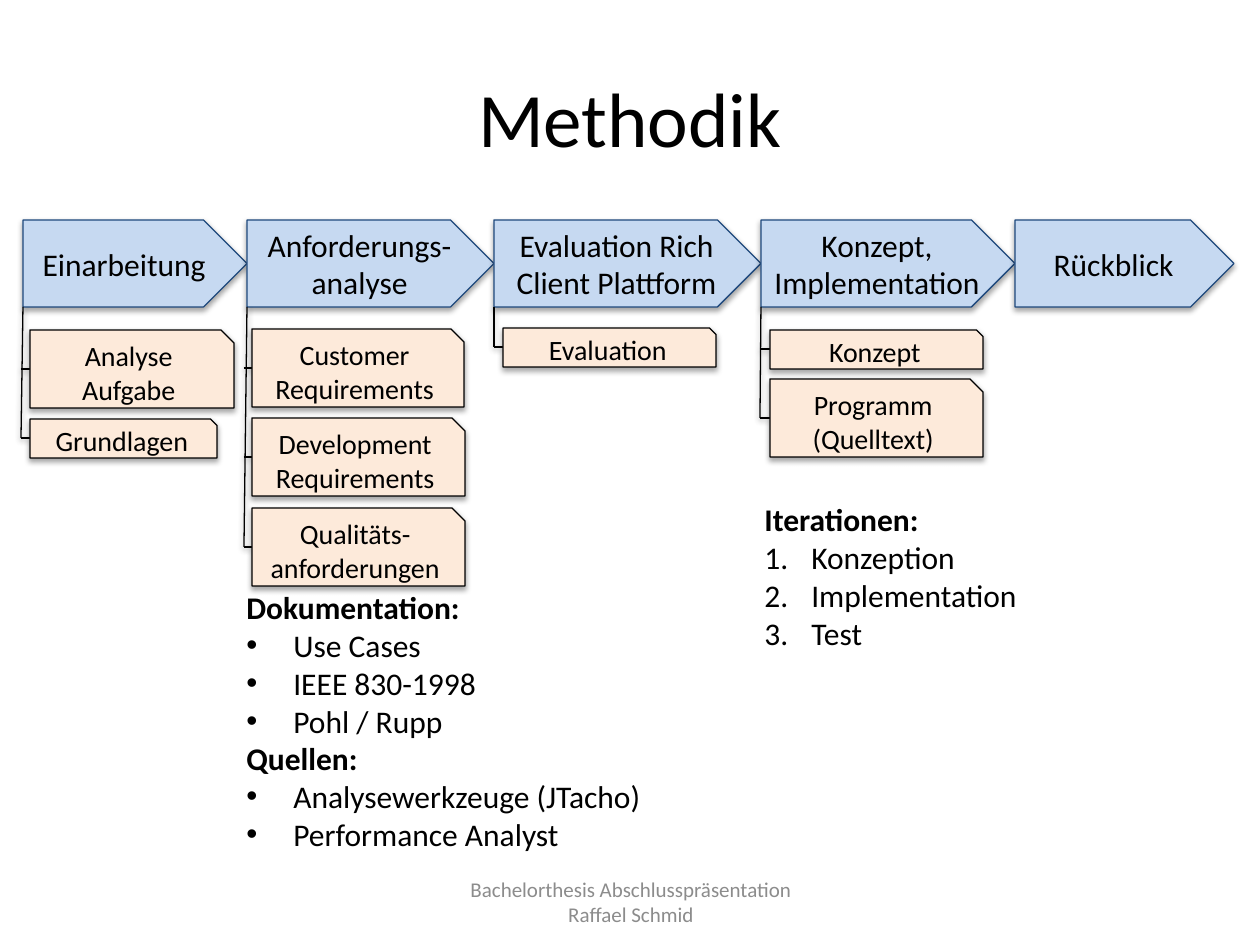
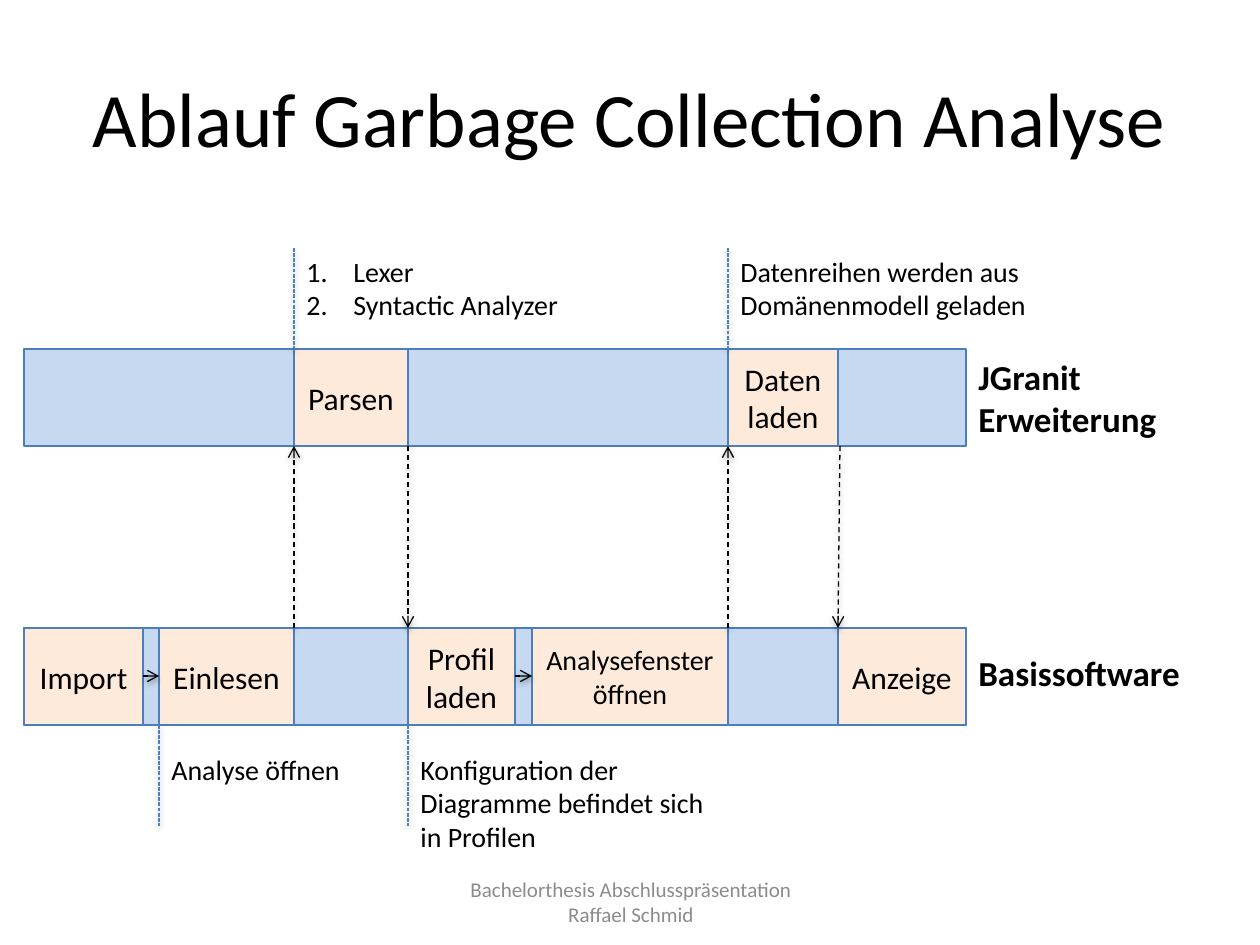
from lxml import etree
from pptx import Presentation
from pptx.dml.color import RGBColor
from pptx.enum.dml import MSO_LINE as Dash
from pptx.enum.shapes import MSO_CONNECTOR, MSO_SHAPE as Preset
from pptx.enum.text import MSO_ANCHOR as Anchor, MSO_AUTO_SIZE as AutoSize, PP_ALIGN as Align
from pptx.oxml.ns import qn
from pptx.util import Pt

SCALE = 914400 / 126
BLACK, GREY = "000000", "8C8C8C"
BLUE, PEACH = "C6D9F1", "FDEADA"
NAVY, STEEL, ACCENT = "1F497D", "4B7EBC", "4F81BD"
MARKERS = {
    "bullet": ("a:buChar", {"char": "•"}),
    "number": ("a:buAutoNum", {"type": "arabicPeriod"}),
}


def emu(*pixels):
    return [round(pixel * SCALE) for pixel in pixels]


def rgb(value):
    return RGBColor.from_string(value)


def add_child(parent, tag, **attributes):
    return etree.SubElement(parent, qn(tag), attributes)


class Deck:
    font = "Calibri"
    line_width = 0.75
    indent = 47

    def __init__(self, width, height):
        self.presentation = Presentation()
        self.presentation.slide_width, self.presentation.slide_height = emu(width, height)
        self.slide = None

    def new_slide(self, title):
        self.slide = self.presentation.slides.add_slide(self.presentation.slide_layouts[5])
        shape = self.slide.shapes.title
        shape.left, shape.top, shape.width, shape.height = emu(63, 38, 1134, 158)
        self.set_text(shape, [title], 44, align=Align.CENTER, anchor=Anchor.MIDDLE)
        self.text_box((431, 877, 400, 50), ["Bachelorthesis Abschlusspräsentation\vRaffael Schmid"],
                      12, color=GREY, align=Align.CENTER, anchor=Anchor.MIDDLE, grow=False)

    def set_text(self, shape, items, size, bold=False, color=BLACK, align=Align.LEFT,
                 anchor=Anchor.TOP):
        frame = shape.text_frame
        frame.word_wrap = True
        frame.vertical_anchor = anchor
        for index, item in enumerate(items):
            text, kind = item if isinstance(item, tuple) else (item, "plain")
            paragraph = frame.add_paragraph() if index else frame.paragraphs[0]
            paragraph.text = text
            paragraph.alignment = align
            formats = {"name": self.font, "size": Pt(size), "bold": bold or kind == "heading"}
            for run in paragraph.runs:
                for name, value in formats.items():
                    setattr(run.font, name, value)
                run.font.color.rgb = rgb(color)
            if kind in MARKERS:
                self.mark(paragraph, *MARKERS[kind])

    def mark(self, paragraph, tag, attributes):
        properties = paragraph._p.get_or_add_pPr()
        indent = emu(self.indent)[0]
        properties.set("marL", str(indent))
        properties.set("indent", str(-indent))
        if tag == "a:buChar":
            add_child(properties, "a:buFont", typeface="Arial")
        add_child(properties, tag, **attributes)

    def text_box(self, box, items, size, grow=True, **style):
        shape = self.slide.shapes.add_textbox(*emu(*box))
        self.set_text(shape, items, size, **style)
        if grow:
            shape.text_frame.auto_size = AutoSize.SHAPE_TO_FIT_TEXT

    def box(self, preset, box, fill, line, text="", size=18, shadow=False):
        shape = self.slide.shapes.add_shape(preset, *emu(*box))
        shape.shadow.inherit = False
        shape.fill.solid()
        shape.fill.fore_color.rgb = rgb(fill)
        shape.line.color.rgb = rgb(line)
        shape.line.width = Pt(self.line_width)
        if text:
            self.set_text(shape, [text], size, align=Align.CENTER, anchor=Anchor.MIDDLE)
        if shadow:
            self.cast_shadow(shape._element.spPr.find(qn("a:effectLst")), 23000, 35000)

    def line(self, start, end, color=BLACK, dash=None, arrow=False):
        connector = self.slide.shapes.add_connector(MSO_CONNECTOR.STRAIGHT, *emu(*start, *end))
        connector.line.color.rgb = rgb(color)
        connector.line.width = Pt(self.line_width)
        if dash:
            connector.line.dash_style = dash
        properties = connector._element.spPr
        if arrow:
            add_child(properties.find(qn("a:ln")), "a:tailEnd", type="arrow")
        self.cast_shadow(add_child(properties, "a:effectLst"), 20000, 38000)

    def cast_shadow(self, effects, distance, opacity):
        shadow = add_child(effects, "a:outerShdw", blurRad="40000", dist=str(distance),
                           dir="5400000", rotWithShape="0")
        color = add_child(shadow, "a:srgbClr", val=BLACK)
        add_child(color, "a:alpha", val=str(opacity))

    def phase(self, left, right, text, foot, results):
        top, height = 220, 87
        self.box(Preset.PENTAGON, (left, top, right - left, height), BLUE, NAVY, text, shadow=True)
        for label, x, y, width, rows in results:
            result_height = 39 * rows
            middle = y + result_height // 2
            self.line((foot, middle), (x, middle))
            self.box(Preset.SNIP_1_RECTANGLE, (x, y, width, result_height), PEACH, BLACK,
                     label, 16, shadow=True)
        if results:
            self.line((left, top + height), (foot, middle))

    def callout(self, x, line_top, text_top, width, items):
        self.line((x, line_top), (x, line_top + 101), ACCENT, Dash.SQUARE_DOT)
        self.text_box((x, text_top, width, 81), items, 16)


deck = Deck(1260, 945)

deck.new_slide("Methodik")
phase_edges = [23, 247, 494, 761, 1015, 1234]
phases = [
    ("Einarbeitung", 21, [("Analyse Aufgabe", 30, 330, 204, 2), ("Grundlagen", 30, 419, 187, 1)]),
    ("Anforderungs-\vanalyse", 244, [("Customer Requirements", 252, 329, 212, 2),
                                     ("Development Requirements", 252, 418, 213, 2),
                                     ("Qualitäts-anforderungen", 252, 508, 213, 2)]),
    ("Evaluation Rich Client Plattform", 494, [("Evaluation", 503, 328, 213, 1)]),
    ("Konzept, Implementation", 760, [("Konzept", 770, 330, 213, 1),
                                      ("Programm (Quelltext)", 770, 379, 213, 2)]),
    ("Rückblick", 1015, []),
]
for left, right, phase in zip(phase_edges, phase_edges[1:], phases):
    deck.phase(left, right, *phase)
deck.text_box((234, 582, 445, 280), [
    ("Dokumentation:", "heading"),
    ("Use Cases", "bullet"),
    ("IEEE 830-1998", "bullet"),
    ("Pohl / Rupp", "bullet"),
    ("Quellen:", "heading"),
    ("Analysewerkzeuge (JTacho)", "bullet"),
    ("Performance Analyst", "bullet"),
], 18)
deck.text_box((752, 494, 445, 165), [
    ("Iterationen:", "heading"),
    ("Konzeption", "number"),
    ("Implementation", "number"),
    ("Test", "number"),
], 18)

deck.new_slide("Ablauf Garbage Collection Analyse")
upper, lower, band_height = 349, 628, 97
band_left, band_right = 24, 966
bands = [
    (upper, "JGranit Erweiterung", 349, [("Parsen", 294, 408, 18), ("Daten laden", 728, 838, 18)]),
    (lower, "Basissoftware", 645, [("Import", 24, 143, 18), ("Einlesen", 159, 294, 18),
                                   ("Profil laden", 408, 515, 18),
                                   ("Analysefenster öffnen", 532, 728, 16),
                                   ("Anzeige", 838, 966, 18)]),
]
for top, name, name_top, steps in bands:
    deck.box(Preset.RECTANGLE, (band_left, top, band_right - band_left, band_height), BLUE, STEEL)
    deck.text_box((band_right, name_top, 294, 55), [name], 20, bold=True)
    for text, left, right, size in steps:
        deck.box(Preset.RECTANGLE, (left, top, right - left, band_height), PEACH, STEEL, text, size)

upper_bottom, lower_middle = upper + band_height, lower + band_height // 2
arrows = [((x, lower), (x, upper_bottom)) for x in (294, 728)]
arrows += [((x, upper_bottom), (end, lower)) for x, end in ((408, 408), (840, 838))]
arrows += [((x, lower_middle), (end, lower_middle)) for x, end in ((143, 159), (515, 532))]
for start, end in arrows:
    deck.line(start, end, dash=Dash.DASH, arrow=True)

callouts = [
    (294, 248, 248, 462, [("Lexer", "number"), ("Syntactic Analyzer", "number")]),
    (728, 248, 248, 462, ["Datenreihen werden aus Domänenmodell geladen"]),
    (159, 725, 746, 462, ["Analyse öffnen"]),
    (408, 725, 746, 320, ["Konfiguration der Diagramme befindet sich in Profilen"]),
]
for callout in callouts:
    deck.callout(*callout)

deck.presentation.save("out.pptx")
